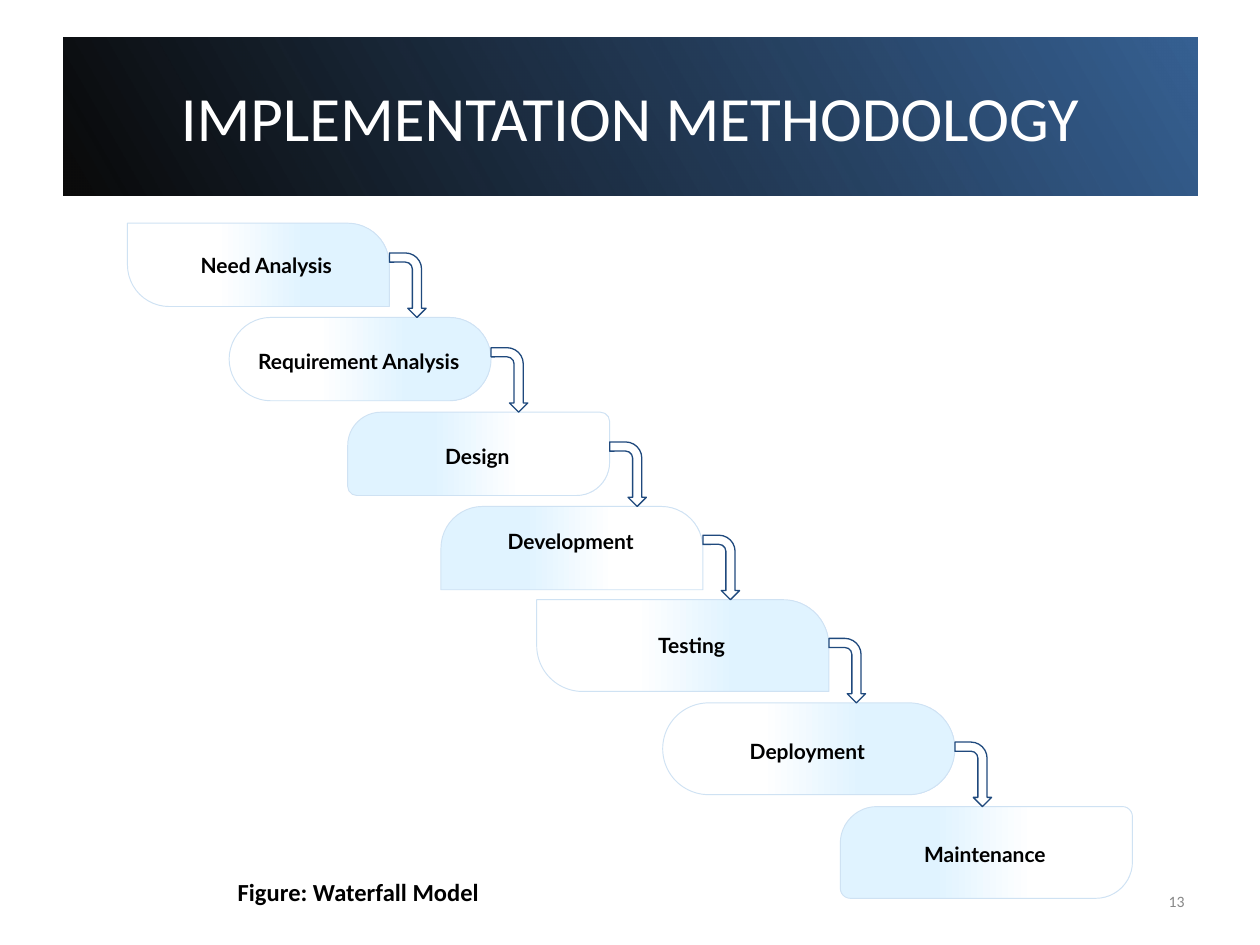
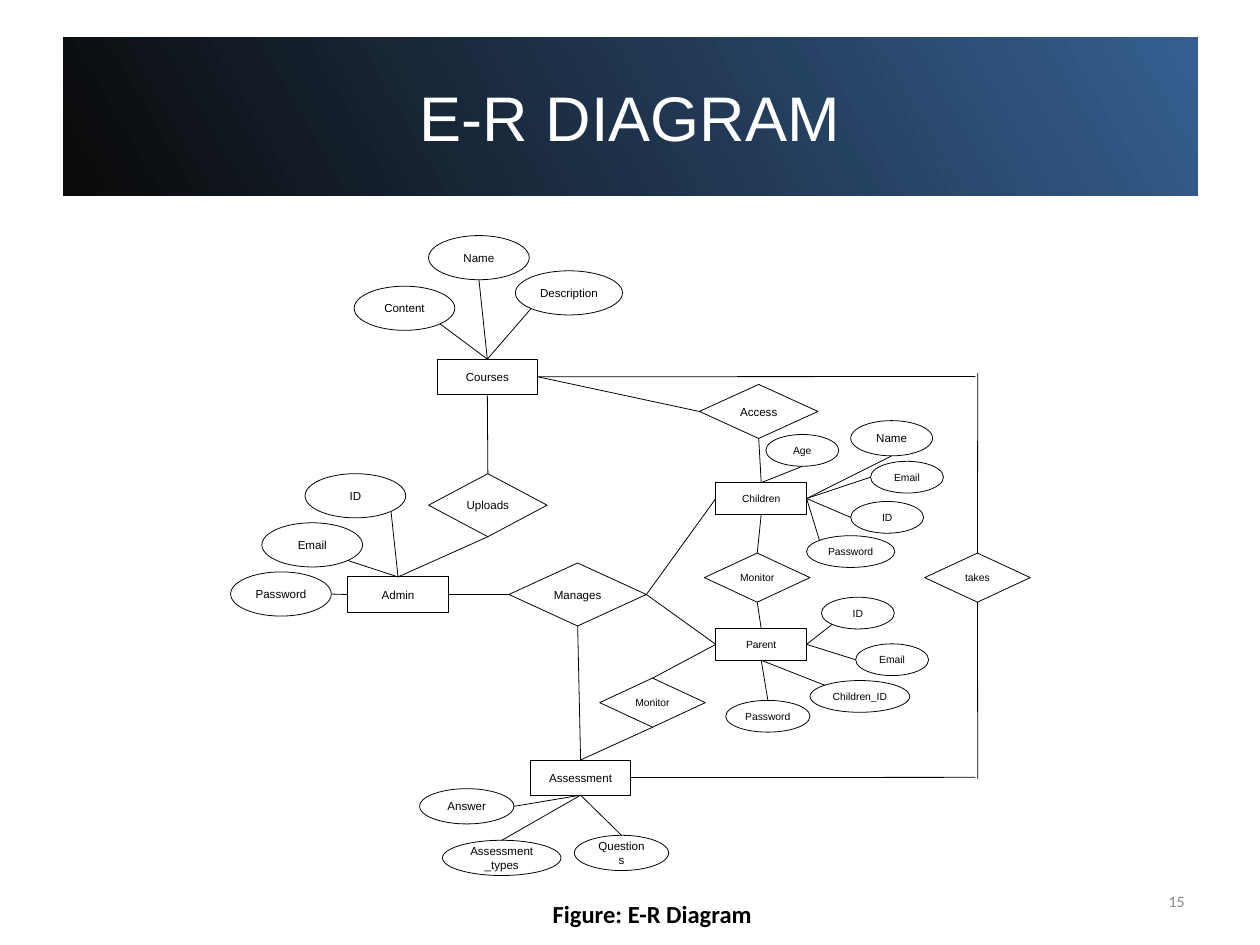
from collections import namedtuple
from math import sqrt

from lxml.etree import SubElement
from pptx import Presentation
from pptx.dml.color import RGBColor as RGB
from pptx.enum.shapes import MSO_CONNECTOR as Link, MSO_SHAPE as Kind
from pptx.enum.text import MSO_ANCHOR as Anchor, MSO_AUTO_SIZE as Fit, PP_ALIGN as Align
from pptx.oxml.ns import qn
from pptx.util import Cm, Pt

Theme = namedtuple("Theme", "ink white grey navy edge ice blue head cap step num big small thin")
look = Theme(ink="000000", white="FFFFFF", grey="888888", navy="1F497D", edge="CFE2F3",
             ice="E0F3FF", blue="366092", head=36, cap=14, step=12, num=9,
             big=6.6, small=5.9, thin=0.45)


def write(shape, text, size, font, color=look.ink, bold=False, align=Align.CENTER,
          pad=(0.25, 0.13), gap=None):
    """Fill a shape with one paragraph, centred in height."""
    frame = shape.text_frame
    frame.word_wrap = True
    frame.auto_size = Fit.NONE
    frame.vertical_anchor = Anchor.MIDDLE
    frame.margin_left = frame.margin_right = Cm(pad[0])
    frame.margin_top = frame.margin_bottom = Cm(pad[1])
    frame.text = text
    para = frame.paragraphs[0]
    para.alignment = align
    para.line_spacing = gap
    para.font.size = Pt(size)
    para.font.name = font
    para.font.bold = bold
    para.font.color.rgb = RGB.from_string(color)


def shade(shape, stops, angle=0):
    """Give a linear gradient from (percent, colour, opacity) stops."""
    shape.fill.gradient()
    shape.fill.gradient_angle = angle
    marks = shape.element.spPr.find(qn("a:gradFill")).find(qn("a:gsLst"))
    for old in list(marks):
        marks.remove(old)
    for spot, color, solid in stops:
        mark = SubElement(marks, qn("a:gs"), pos=str(spot * 1000))
        tint = SubElement(mark, qn("a:srgbClr"), val=color)
        if solid < 100:
            SubElement(tint, qn("a:alpha"), val=str(solid * 1000))


deck = Presentation()
deck.slide_width, deck.slide_height = Cm(25.4), Cm(19.05)

# Shared frame: title band, figure caption, page number
pages = [
    ("IMPLEMENTATION METHODOLOGY", "Calibri", "13",
     "Figure: Waterfall Model", (2.64, 17.53, 9.17, 0.89)),
    ("E-R DIAGRAM", "Arial", "15",
     "Figure: E-R Diagram", (7.92, 17.96, 10.46, 0.91)),
]
for name, font, num, note, place in pages:
    slide = deck.slides.add_slide(deck.slide_layouts[5])
    band = slide.shapes.title
    band.left, band.top, band.width, band.height = Cm(1.27), Cm(0.76), Cm(22.86), Cm(3.18)
    shade(band, [(0, look.ink, 96), (100, look.blue, 100)], 30)
    write(band, name, look.head, font, look.white)
    box = slide.shapes.add_textbox(*map(Cm, place))
    write(box, note, look.cap, "Calibri", bold=True, pad=(0.25, 0.25))
    box = slide.shapes.add_textbox(Cm(18.21), Cm(17.65), Cm(5.92), Cm(1.02))
    write(box, num, look.num, "Calibri", look.grey, align=Align.RIGHT)

# Waterfall steps
fall, chart = (slide.shapes for slide in deck.slides)
right = [(0, look.ice, 100), (32, look.ice, 100), (66, look.white, 100), (100, look.white, 100)]
left = [(100 - spot, color, solid) for spot, color, solid in reversed(right)]
# Form: shape, corner rounding, gradient, label share of width, line spacing
forms = {
    "leaf": (Kind.ROUND_2_DIAG_RECTANGLE, (0, 0.5), left, 0.89, 1.0),
    "pill": (Kind.ROUNDED_RECTANGLE, (0.5,), left, 0.82, 1.15),
    "page": (Kind.ROUND_2_DIAG_RECTANGLE, (0.4, 0.11), right, 0.82, 1.15),
    "arch": (Kind.ROUND_2_SAME_RECTANGLE, (0.5, 0), right, 0.82, 1.15),
}
small, large = (5.28, 1.68), (5.89, 1.85)
# Step: label, form, left, top, size, label lift
steps = [
    ("Need Analysis", "leaf", 2.57, 4.5, small, 0),
    ("Requirement Analysis", "pill", 4.62, 6.4, small, 0),
    ("Design", "page", 7.01, 8.31, small, 0),
    ("Development", "arch", 8.89, 10.21, small, 0.17),
    ("Testing", "leaf", 10.82, 12.09, large, 0),
    ("Deployment", "pill", 13.36, 14.17, large, 0),
    ("Maintenance", "page", 16.94, 16.26, large, 0),
]
for label, form, x, y, (w, h), lift in steps:
    kind, bends, stops, share, gap = forms[form]
    card = fall.add_shape(kind, Cm(x), Cm(y), Cm(w), Cm(h))
    card.shadow.inherit = False
    for i, bend in enumerate(bends):
        card.adjustments[i] = bend
    shade(card, stops)
    card.line.color.rgb = RGB.from_string(look.edge)
    card.line.width = Pt(0.55)
    box = fall.add_textbox(Cm(x + 0.085 * w), Cm(y - lift), Cm(share * w), Cm(h))
    write(box, label, look.step, "Lato", bold=True, pad=(0, 0), gap=gap)

# Each arrow leaves a step's right side and lands on the next step's top
long, wide = 1.3, 0.74
for (_, _, x, _, (w, _), _), (_, _, _, below, _, _) in zip(steps, steps[1:]):
    arrow = fall.add_shape(Kind.BENT_ARROW, Cm(x + w + (wide - long) / 2),
                           Cm(below - (long + wide) / 2), Cm(long), Cm(wide))
    arrow.shadow.inherit = False
    arrow.rotation = 90
    for i, bend in enumerate((0.25, 0.25, 0.25, 0.44)):
        arrow.adjustments[i] = bend
    arrow.fill.solid()
    arrow.fill.fore_color.rgb = RGB.from_string(look.white)
    arrow.line.color.rgb = RGB.from_string(look.navy)
    arrow.line.width = Pt(0.75)

# E-R nodes by shape and size; the label is the part after the dot
rect, oval, gem = Kind.RECTANGLE, Kind.OVAL, Kind.DIAMOND
groups = [
    (rect, 2.03, 0.71, look.big, [("Admin", 7.01, 11.63), ("Courses", 8.81, 7.24),
                                  ("Assessment", 10.69, 15.32)]),
    (rect, 1.83, 0.64, look.small, [("Parent", 14.43, 12.67), ("Children", 14.43, 9.73)]),
    (gem, 2.39, 1.27, look.big, [("Uploads", 8.64, 9.55)]),
    (gem, 2.39, 1.09, look.big, [("Access", 14.1, 7.75)]),
    (gem, 2.77, 1.27, look.big, [("Manages", 10.26, 11.35)]),
    (gem, 2.13, 0.99, look.small, [("Children.Monitor", 14.2, 11.15),
                                   ("Parent.Monitor", 12.09, 13.67), ("takes", 18.64, 11.15)]),
    (oval, 2.03, 0.89, look.big, [("Admin.Email", 5.28, 10.54), ("Admin.Password", 4.65, 11.53),
                                  ("Admin.ID", 6.15, 9.55), ("Courses.Content", 7.14, 5.77),
                                  ("Courses.Name", 8.64, 4.75)]),
    (oval, 2.16, 0.89, look.big, [("Courses.Description", 10.39, 5.46)]),
    (oval, 1.9, 0.71, look.big, [("Assessment.Questions", 11.58, 16.84),
                                 ("Assessment.Answer", 8.46, 15.9)]),
    (oval, 2.39, 0.71, look.big, [("Assessment.Assessment_types", 8.92, 16.94)]),
    (oval, 1.65, 0.71, look.big, [("Children.Name", 17.15, 8.48)]),
    (oval, 1.47, 0.64, look.small, [("Children.Age", 15.44, 8.76), ("Children.Email", 17.55, 9.3),
                                    ("Children.ID", 17.15, 10.11), ("Parent.ID", 16.56, 12.04),
                                    ("Parent.Email", 17.25, 12.98)]),
    (oval, 1.78, 0.64, look.small, [("Children.Password", 16.26, 10.8)]),
    (oval, 1.7, 0.64, look.small, [("Parent.Password", 14.63, 14.12)]),
    (oval, 2.01, 0.64, look.small, [("Parent.Children_ID", 16.33, 13.72)]),
]
diag = sqrt(0.5)
sides = {"n": (0, -1), "w": (-1, 0), "s": (0, 1), "e": (1, 0),
         "nw": (-diag, -diag), "sw": (-diag, diag), "se": (diag, diag)}
spots = {"bend a": (19.66, 7.59), "bend b": (19.71, 7.52),
         "bend c": (19.66, 15.67), "bend d": (19.71, 15.7)}
joints = {}
for kind, w, h, size, nodes in groups:
    pad = 0.16 if size == look.big else 0.13
    for name, x, y in nodes:
        node = chart.add_shape(kind, Cm(x), Cm(y), Cm(w), Cm(h))
        node.shadow.inherit = False
        node.fill.background()
        node.line.color.rgb = RGB.from_string(look.ink)
        node.line.width = Pt(look.thin)
        write(node, name.split(".")[-1], size, "Arial", pad=(pad, pad))
        for side, (dx, dy) in sides.items():
            spots[f"{name} {side}"] = (x + w / 2 * (1 + dx), y + h / 2 * (1 + dy))
        if kind != oval:
            joints.update({f"{name} {side}": (node, i) for i, side in enumerate("nwse")})

# Lines that meet at each hub
hubs = {
    "Admin w": ["Admin.Password e"],
    "Admin n": ["Admin.Email se", "Admin.ID se", "Uploads s"],
    "Admin e": ["Manages w"],
    "Courses s": ["Uploads n"],
    "Courses n": ["Courses.Content se", "Courses.Name s", "Courses.Description sw"],
    "Courses e": ["Access w", "bend a"],
    "Children n": ["Access s", "Children.Age s"],
    "Children e": ["Children.Name s", "Children.Email w", "Children.ID w",
                   "Children.Password nw"],
    "Children s": ["Children.Monitor n"],
    "Parent n": ["Children.Monitor s"],
    "Parent s": ["Parent.Password n", "Parent.Children_ID nw"],
    "Parent e": ["Parent.Email w", "Parent.ID sw"],
    "Parent w": ["Parent.Monitor n"],
    "Manages e": ["Children w", "Parent w"],
    "Assessment s": ["Assessment.Answer e", "Assessment.Assessment_types n",
                     "Assessment.Questions n"],
    "Assessment n": ["Manages s", "Parent.Monitor s"],
    "Assessment e": ["bend c"],
    "takes n": ["bend b"],
    "takes s": ["bend d"],
}
for hub, ends in hubs.items():
    for end in ends:
        line = chart.add_connector(Link.STRAIGHT, *map(Cm, spots[end] + spots[hub]))
        line.line.color.rgb = RGB.from_string(look.ink)
        line.line.width = Pt(look.thin)
        SubElement(line.element.spPr, qn("a:effectLst"))
        line.end_connect(*joints[hub])
        if end in joints:
            line.begin_connect(*joints[end])

deck.save("out.pptx")
